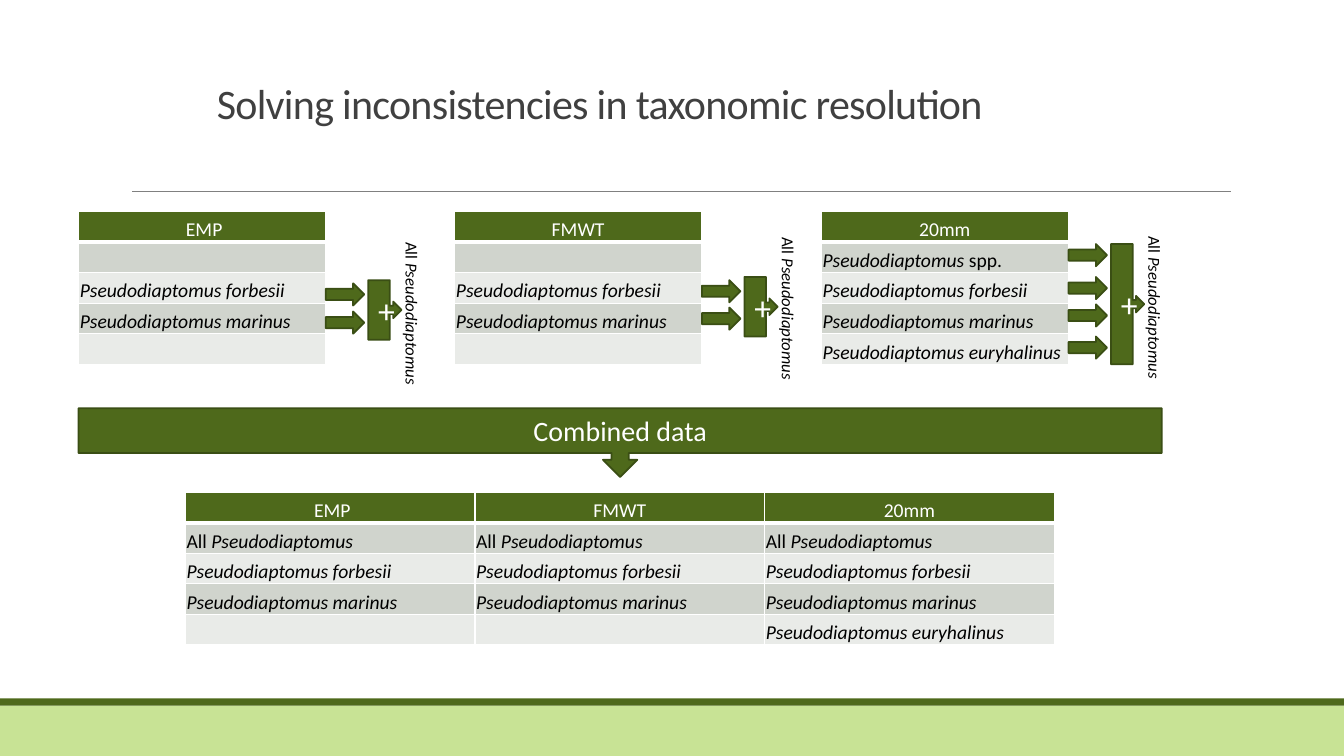
"""Builds the slide on merging zooplankton surveys with differing taxonomic resolution."""
from lxml.etree import SubElement
from pptx import Presentation
from pptx.dml.color import RGBColor
from pptx.enum.shapes import MSO_CONNECTOR, MSO_SHAPE
from pptx.enum.text import MSO_ANCHOR, MSO_AUTO_SIZE, PP_ALIGN
from pptx.oxml.ns import qn
from pptx.util import Cm, Pt

GREEN, DARK_GREEN, LIGHT_GREEN = "4E691B", "3A4E14", "C8E395"
BANDS = ("E9EBE8", "D0D4CD")
WHITE, BLACK = "FFFFFF", "000000"
CELL = dict(vertical_anchor=MSO_ANCHOR.BOTTOM, margin_left=Cm(0.03),
            margin_right=Cm(0.03), margin_top=Cm(0.03), margin_bottom=0)


def color(value):
    return RGBColor.from_string(value)


def apply(target, values):
    for name, value in values.items():
        setattr(target, name, value)


class SlideBuilder:
    def __init__(self, slide, font):
        self.slide, self.font = slide, font

    def fill_text(self, frame, text, size, hue, align=PP_ALIGN.LEFT):
        paragraph = frame.paragraphs[0]
        paragraph.alignment = align
        for index, part in enumerate(text.split("_")):
            if part:
                run = paragraph.add_run()
                run.text = part
                apply(run.font, dict(name=self.font, size=Pt(size), bold=False,
                                     italic=index % 2 == 1))
                run.font.color.rgb = color(hue)
        return paragraph

    def title(self, text, box):
        title = self.slide.shapes.title
        apply(title, dict(zip(("left", "top", "width", "height"), map(Cm, box))))
        apply(title.text_frame, dict(vertical_anchor=MSO_ANCHOR.BOTTOM, word_wrap=True,
                                     auto_size=MSO_AUTO_SIZE.NONE))
        paragraph = self.fill_text(title.text_frame, text, 30, "404040")
        paragraph.line_spacing = 0.85
        paragraph.runs[0].font._element.set("spc", "-50")

    def shape(self, kind, box, fill=GREEN, line=DARK_GREEN, text="", size=20):
        shape = self.slide.shapes.add_shape(kind, *map(Cm, box))
        shape.shadow.inherit = False
        shape.fill.solid()
        shape.fill.fore_color.rgb = color(fill)
        if line:
            shape.line.color.rgb = color(line)
            shape.line.width = Pt(1.25)
        else:
            shape.line.fill.background()
        if text:
            self.fill_text(shape.text_frame, text, size, WHITE, PP_ALIGN.CENTER)

    def rule(self, start, end):
        rule = self.slide.shapes.add_connector(MSO_CONNECTOR.STRAIGHT, *map(Cm, start + end))
        rule.line.color.rgb = color("808080")
        rule.line.width = Pt(0.5)
        SubElement(rule._element.spPr, qn("a:effectLst"))

    def side_label(self, text, box):
        label = self.slide.shapes.add_textbox(*map(Cm, box))
        label.rotation = 90
        label.text_frame.word_wrap = True
        self.fill_text(label.text_frame, text, 12, BLACK)

    def border(self, cell, row):
        properties = cell._tc.get_or_add_tcPr()
        heavy = {0: "lnB", 1: "lnT"}.get(row)
        for side in ("lnL", "lnR", "lnT", "lnB"):
            line = SubElement(properties, qn(f"a:{side}"), w=str(Pt(3 if side == heavy else 1)))
            SubElement(SubElement(line, qn("a:solidFill")), qn("a:srgbClr"), val=WHITE)

    def table(self, rows, left, top, column_width, row_height=0.77):
        columns = len(rows[0])
        table = self.slide.shapes.add_table(
            len(rows), columns, Cm(left), Cm(top),
            Cm(column_width * columns), Cm(row_height * len(rows))).table
        for row, texts in enumerate(rows):
            for column, text in enumerate(texts):
                cell = table.cell(row, column)
                apply(cell, CELL)
                self.border(cell, row)
                cell.fill.solid()
                cell.fill.fore_color.rgb = color(BANDS[row % 2] if row else GREEN)
                hue, align = (BLACK, PP_ALIGN.LEFT) if row else (WHITE, PP_ALIGN.CENTER)
                paragraph = self.fill_text(cell.text_frame, text, 14, hue, align)
                if not text:
                    SubElement(paragraph._p, qn("a:endParaRPr"), sz="1400")


presentation = Presentation()
presentation.slide_width, presentation.slide_height = Cm(33.87), Cm(19.05)
page = SlideBuilder(presentation.slides.add_slide(presentation.slide_layouts[5]), "Calibri")

page.shape(MSO_SHAPE.RECTANGLE, (0, 17.78, 33.87, 1.27), LIGHT_GREEN, None)
page.shape(MSO_SHAPE.RECTANGLE, (0, 17.6, 33.87, 0.18), GREEN, None)
page.rule((3.33, 4.83), (31.01, 4.83))
page.title("Solving inconsistencies in taxonomic resolution", (5.21, 0.58, 21.9, 2.77))

GENUS = "All _Pseudodiaptomus_"
FORBESII, MARINUS, EURYHALINUS = (
    f"_Pseudodiaptomus {species}_" for species in ("forbesii", "marinus", "euryhalinus"))
SURVEYS = ("\u00a0EMP", "FMWT", "20mm")

combined = [SURVEYS, (GENUS,) * 3, (FORBESII,) * 3, (MARINUS,) * 3, ("", "", EURYHALINUS)]
page.table(combined, 4.67, 12.4, 7.3)

COARSE = ("", FORBESII, MARINUS, "")
FULL = ("_Pseudodiaptomus_ spp.", FORBESII, MARINUS, EURYHALINUS)
survey_details = (
    (1.98, COARSE, (7.14, 7.85), (7.06, 1.5), 7.87),
    (11.46, COARSE, (7.06, 7.75), (6.98, 1.5), 7.75),
    (20.7, FULL, (6.15, 6.98, 7.67, 8.48), (6.15, 3.03), 7.72),
)
for survey, (left, taxa, arrow_tops, (sum_top, sum_height), label_top) in zip(
        SURVEYS, survey_details):
    page.table([(survey,), *((taxon,) for taxon in taxa)], left, 5.33, 6.22)
    page.shape(MSO_SHAPE.RIGHT_ARROW_CALLOUT, (left + 7.3, sum_top, 0.84, sum_height),
               text="+", size=24)
    for arrow_top in arrow_tops:
        page.shape(MSO_SHAPE.RIGHT_ARROW, (left + 6.23, arrow_top, 0.97, 0.56))
    page.side_label(GENUS, (left + 6.01, label_top, 4.8, 0.76))

page.shape(MSO_SHAPE.DOWN_ARROW_CALLOUT, (1.98, 10.29, 27.3, 1.73), text="Combined data")

presentation.save("out.pptx")
